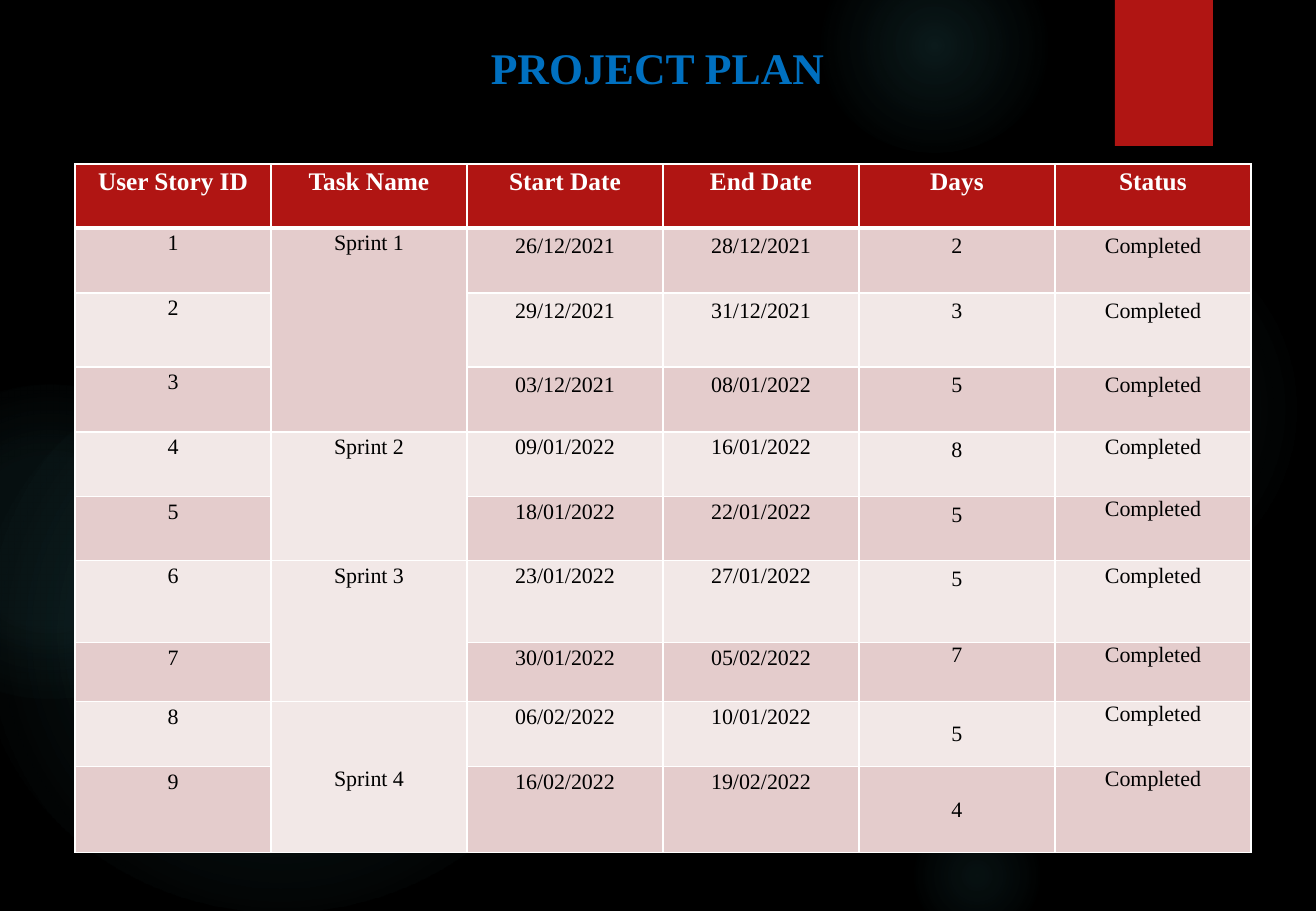
from lxml import etree
from pptx import Presentation
from pptx import util as u
from pptx.dml.color import RGBColor
from pptx.enum import shapes, text
from pptx.oxml import parse_xml
from pptx.oxml.ns import nsdecls, qn

# Content
TITLE = "PROJECT PLAN"
HEADER = ("User Story ID", "Task Name", "Start Date", "End Date", "Days", "Status")
STORIES = [
    ("1", "Sprint 1", "26/12/2021", "28/12/2021", "2", "Completed"),
    ("2", None, "29/12/2021", "31/12/2021", "3", "Completed"),
    ("3", None, "03/12/2021", "08/01/2022", "5", "Completed"),
    ("4", "Sprint 2", "09/01/2022", "16/01/2022", "8", "Completed"),
    ("5", None, "18/01/2022", "22/01/2022", "5", "Completed"),
    ("6", "Sprint 3", "23/01/2022", "27/01/2022", "5", "Completed"),
    ("7", None, "30/01/2022", "05/02/2022", "7", "Completed"),
    ("8", "Sprint 4", "06/02/2022", "10/01/2022", "5", "Completed"),
    ("9", None, "16/02/2022", "19/02/2022", "4", "Completed"),
]
ROWS = [HEADER] + STORIES

# Layout in px
PX = 914400 / 121.5
SLIDE_W, SLIDE_H = 1316, 911
TITLE_BOX = (134, 35, 1047, 112)
RIBBON_BOX = (1115, 0, 98, 146)
TABLE_LEFT, TABLE_TOP, COL_W = 75, 164, 196
ROW_H = [64, 65, 74, 65, 65, 64, 82, 59, 65, 86]
# Glow: box, then (position %, opacity %) stops
GLOWS = [
    ((906, 222, 406, 374), ((0, 7), (36, 6), (69, 0))),
    ((819, -61, 231, 213), ((0, 14), (36, 7), (73, 0))),
    ((906, 810, 142, 131), ((0, 9), (36, 5), (66, 0))),
    ((-22, 355, 604, 556), ((0, 11), (36, 10), (75, 0))),
    ((-120, 385, 340, 313), ((0, 8), (36, 8), (72, 0))),
]

# Cell styles: side inset, top inset, line spacing, anchor
TOP, MIDDLE = text.MSO_ANCHOR.TOP, text.MSO_ANCHOR.MIDDLE
CELL_STYLES = {
    "S": (8, 0, 1.15, TOP),
    "C": (8, 0, 1.15, MIDDLE),
    "P": (12, 6, 1.0, TOP),
    "T": (8, 0, 1.0, TOP),
    "M": (8, 0, 1.0, MIDDLE),
}
ROW_STYLES = ["SSSSSS", "SSPPPP", "SSPPPP", "SSPPPP", "SSSSPS",
              "SSSSPT", "SSSSPS", "SSSSTT", "SCSSMT", "SSSSMT"]

BLACK = RGBColor(0, 0, 0)
WHITE = RGBColor(0xFF, 0xFF, 0xFF)
RED = RGBColor(0xB0, 0x15, 0x13)
BLUE = RGBColor(0x00, 0x70, 0xC0)
TEAL = RGBColor(0x50, 0xB9, 0xC1)
BANDS = (RGBColor(0xF2, 0xE8, 0xE7), RGBColor(0xE4, 0xCC, 0xCC))
FONT = "Times New Roman"
TITLE_FONT = {"name": FONT, "size": u.Pt(25.9), "bold": True}
HEADER_FONT = {"name": FONT, "size": u.Pt(15), "bold": True}
BODY_FONT = {"name": FONT, "size": u.Pt(13), "bold": False}


def emu(*lengths):
    return [u.Emu(round(n * PX)) for n in lengths]


def write(tf, words, font, color, spacing):
    p = tf.paragraphs[0]
    p.alignment, p.line_spacing = text.PP_ALIGN.CENTER, spacing
    r = p.add_run()
    r.text = words
    for name, value in font.items():
        setattr(r.font, name, value)
    r.font.color.rgb = color


def add_plain(s, kind, box):
    sp = s.shapes.add_shape(kind, *emu(*box))
    sp.shadow.inherit = False
    sp.line.fill.background()
    return sp


def fill_glow(sp, stops):
    gs = "".join(f'<a:gs pos="{pos * 1000}"><a:srgbClr val="{TEAL}">'
                 f'<a:alpha val="{alpha * 1000}"/></a:srgbClr></a:gs>'
                 for pos, alpha in stops)
    grad = parse_xml(f'<a:gradFill {nsdecls("a")}><a:gsLst>{gs}</a:gsLst>'
                     '<a:path path="circle"><a:fillToRect l="50000" t="50000" '
                     'r="50000" b="50000"/></a:path></a:gradFill>')
    sp._element.spPr.find(qn("a:prstGeom")).addnext(grad)


def set_borders(cell, top, bottom):
    tcPr = cell._tc.get_or_add_tcPr()
    sides = (("L", 1), ("R", 1), ("T", top), ("B", bottom))
    for i, (side, width) in enumerate(sides):
        ln = etree.Element(qn(f"a:ln{side}"), w=str(u.Pt(width)))
        fill = etree.SubElement(ln, qn("a:solidFill"))
        etree.SubElement(fill, qn("a:srgbClr"), val=str(WHITE))
        tcPr.insert(i, ln)


def add_plan_table(s):
    n_cols = len(HEADER)
    frame = s.shapes.add_table(len(ROWS), n_cols, *emu(
        TABLE_LEFT, TABLE_TOP, COL_W * n_cols, sum(ROW_H)))
    table = frame.table
    for col in table.columns:
        col.width = emu(COL_W)[0]
    for i, (row, height, styles) in enumerate(zip(ROWS, ROW_H, ROW_STYLES)):
        table.rows[i].height = emu(height)[0]
        for j, (words, style) in enumerate(zip(row, styles)):
            cell = table.cell(i, j)
            side, top, spacing, cell.vertical_anchor = CELL_STYLES[style]
            cell.margin_left, cell.margin_right = emu(side, side)
            cell.margin_top, cell.margin_bottom = emu(top, top)
            cell.fill.solid()
            cell.fill.fore_color.rgb = BANDS[i % 2] if i else RED
            set_borders(cell, 3 if i == 1 else 1, 1 if i else 3)
            if words:
                write(cell.text_frame, words, BODY_FONT if i else HEADER_FONT,
                      BLACK if i else WHITE, spacing)
    # Each sprint spans the rows down to the next one
    starts = [i for i, row in enumerate(ROWS) if i and row[1]]
    for first, following in zip(starts, starts[1:] + [len(ROWS)]):
        table.cell(first, 1).merge(table.cell(following - 1, 1))


def main():
    prs = Presentation()
    prs.slide_width, prs.slide_height = emu(SLIDE_W, SLIDE_H)
    s = prs.slides.add_slide(prs.slide_layouts[5])

    # Backdrop
    s.background.fill.solid()
    s.background.fill.fore_color.rgb = BLACK
    for box, stops in GLOWS:
        fill_glow(add_plain(s, shapes.MSO_SHAPE.OVAL, box), stops)
    ribbon = add_plain(s, shapes.MSO_SHAPE.RECTANGLE, RIBBON_BOX)
    ribbon.fill.solid()
    ribbon.fill.fore_color.rgb = RED

    # Title, in front of the backdrop
    title = s.shapes.title
    title.left, title.top, title.width, title.height = emu(*TITLE_BOX)
    title.text_frame.vertical_anchor = TOP
    write(title.text_frame, TITLE, TITLE_FONT, BLUE, 1.0)
    s.shapes._spTree.append(title._element)

    add_plan_table(s)
    prs.save("out.pptx")


if __name__ == "__main__":
    main()
